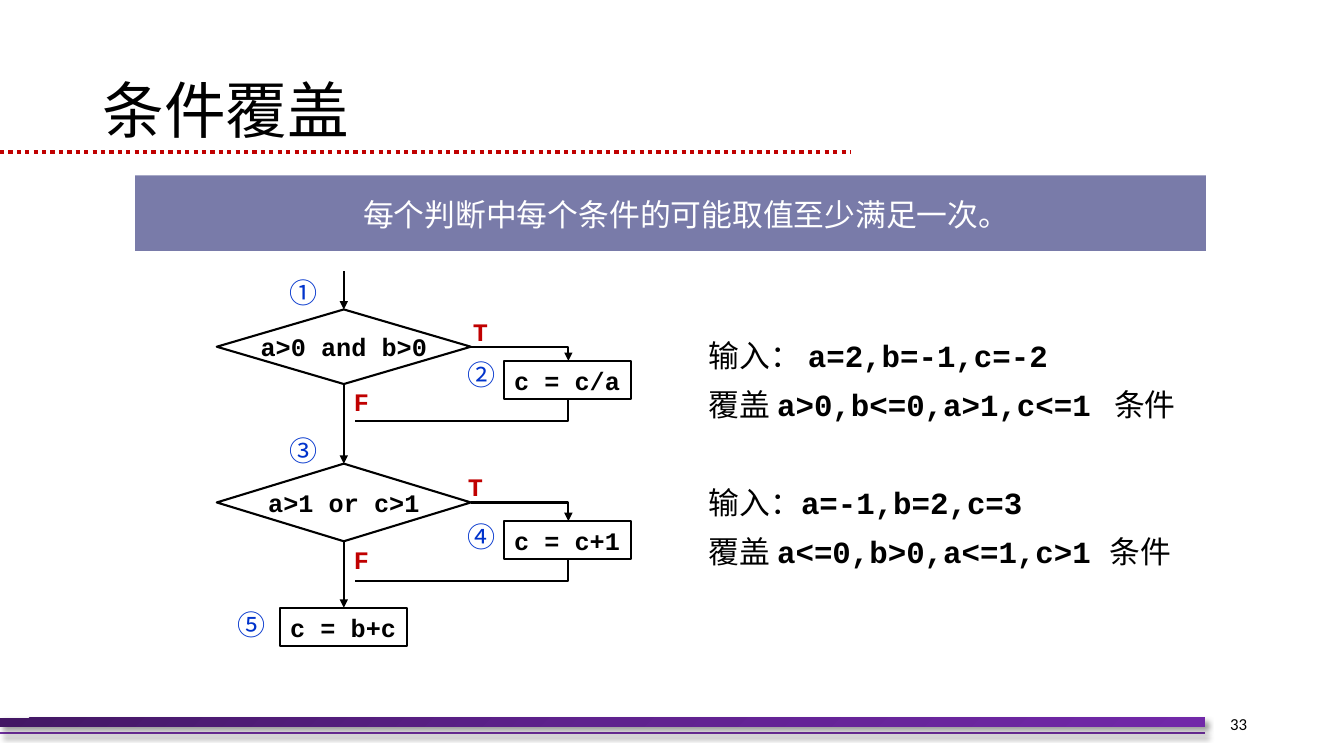
from copy import deepcopy

from lxml.etree import SubElement
from pptx import Presentation
from pptx.dml.color import RGBColor as RGB
from pptx.enum.dml import MSO_LINE as DASH
from pptx.enum.shapes import MSO_CONNECTOR as CONN, MSO_SHAPE as SHAPE
from pptx.enum.text import MSO_ANCHOR as ANCHOR, PP_ALIGN as ALIGN
from pptx.oxml.ns import qn
from pptx.util import Inches, Pt

C = {"black": "000000", "white": "FFFFFF", "red": "C00000", "blue": "0033CC",
     "banner": "797BA9", "purple": "7030A0"}
BAR_STOPS = [(0, "431764"), (0.5, "5F218E"), (1, "7128A8")]
CJK, MONO, SANS = "Noto Sans CJK SC", "Courier New", "Calibri"

prs = Presentation()
prs.slide_width, prs.slide_height = Inches(13.33), Inches(7.5)
s = prs.slides.add_slide(prs.slide_layouts[6])
U = prs.slide_height / 90


def box(x, y, w, h, paras, size, color="black", kind=None, left=0, top=0,
        align=ALIGN.LEFT, anchor=ANCHOR.TOP):
    at = [round(v * U) for v in (x, y, w, h)]
    if kind is None:
        sp = s.shapes.add_textbox(*at)
    else:
        sp = s.shapes.add_shape(kind, *at)
        sp.shadow.inherit = False
        sp.fill.background()
        sp.line.color.rgb = RGB.from_string(C["black"])
        sp.line.width = Pt(1.5)
    tf = sp.text_frame
    tf.word_wrap = kind != SHAPE.DIAMOND
    tf.vertical_anchor = anchor
    tf.margin_left, tf.margin_top = round(left * U), round(top * U)
    tf.margin_right = tf.margin_bottom = 0
    for i, runs in enumerate(paras):
        p = tf.add_paragraph() if i else tf.paragraphs[0]
        p.alignment = align
        if i:
            p.space_before = Pt(8.6)
        for text, font in runs:
            r = p.add_run()
            r.text = text
            r.font.size, r.font.name, r.font.bold = Pt(size), font, font == MONO
            r.font.color.rgb = RGB.from_string(C[color])
            SubElement(r.font._element, qn("a:ea")).set("typeface", font)
    return sp


def line(points, color="black", width=1.5, arrow=False):
    pts = [(round(x * U), round(y * U)) for x, y in points]
    if len(pts) == 2:
        sp = s.shapes.add_connector(CONN.STRAIGHT, *pts[0], *pts[1])
    else:
        path = s.shapes.build_freeform(*pts[0], scale=1.0)
        path.add_line_segments(pts[1:], close=False)
        sp = path.convert_to_shape()
        sp.fill.background()
    sp.line.color.rgb = RGB.from_string(C[color])
    sp.line.width = Pt(width)
    if arrow:
        SubElement(sp.line._get_or_add_ln(), qn("a:tailEnd")).set("type", "triangle")
    SubElement(sp._element.spPr, qn("a:effectLst"))
    return sp


FOOT_W = 143.4
rule = line([(0, 87.24), (FOOT_W, 87.24)], "purple")
bar = box(0, 85.44, FOOT_W, 1.08, [], 12, kind=SHAPE.RECTANGLE)
bar.line.fill.background()
bar.fill.gradient()
bar.fill.gradient_angle = 315
stops = bar._element.spPr.find(".//" + qn("a:gsLst"))
stops.append(deepcopy(stops[-1]))
for stop, (pos, color) in zip(bar.fill.gradient_stops, BAR_STOPS):
    stop.position = pos
    stop.color.rgb = RGB.from_string(color)
for sp in (rule, bar):
    effects = sp._element.spPr.find(qn("a:effectLst"))
    shadow = SubElement(effects, qn("a:outerShdw"), blurRad=str(Pt(4)),
                        dist=str(Pt(3)), dir="2700000", rotWithShape="0")
    tint = SubElement(shadow, qn("a:srgbClr"), val=C["black"])
    SubElement(tint, qn("a:alpha"), val="40000")

line([(0, 18.12), (101.28, 18.12)], "red", 3).line.dash_style = DASH.ROUND_DOT

title = box(11.04, 4.8, 138, 17.4, [[("条件覆盖", CJK)]], 44,
            left=1.2, anchor=ANCHOR.MIDDLE)
title.text_frame.paragraphs[0].line_spacing = 0.9
box(136.56, 83.76, 11.88, 4.8, [[("33", SANS)]], 12,
    align=ALIGN.RIGHT, anchor=ANCHOR.MIDDLE)

banner = box(16.08, 20.88, 127.44, 9, [[("每个判断中每个条件的可能取值至少满足一次。", CJK)]],
             22, "white", SHAPE.RECTANGLE, left=3.72, top=2.4, align=ALIGN.CENTER)
banner.fill.solid()
banner.fill.fore_color.rgb = RGB.from_string(C["banner"])
banner.line.fill.background()

cases = [
    (38.52, [[("输入： ", CJK), ("a=2,b=-1,c=-2", MONO)],
             [("覆盖 ", CJK), ("a>0,b<=0,a>1,c<=1\t", MONO), ("条件", CJK)]]),
    (56.04, [[("输入：", CJK), ("a=-1,b=2,c=3", MONO)],
             [("覆盖 ", CJK), ("a<=0,b>0,a<=1,c>1 ", MONO), ("条件", CJK)]]),
]
for y, paras in cases:
    sp = box(84.36, y, 55.68, 12, paras, 22, top=1.56)
    for p in sp.text_frame.paragraphs[1:]:
        tabs = SubElement(p._p.get_or_add_pPr(), qn("a:tabLst"))
        SubElement(tabs, qn("a:tab"), pos=str(round(48.24 * U)), algn="l")

TRUNK, BRANCH, HALF = 40.92, 67.65, 15.12
BOX_W, BOX_H = 15.12, 4.56

decisions = [
    ("a>0 and b>0", 36.84, 8.88, 42.96, "c = c/a"),
    ("a>1 or c>1", 55.2, 9.24, 62.04, "c = c+1"),
]
steps = [(60, top, text) for *_, top, text in decisions] + [(33.36, 72.36, "c = b+c")]
for x, y, text in steps:
    box(x, y, BOX_W, BOX_H, [[(text, MONO)]], 18, kind=SHAPE.RECTANGLE,
        left=1.2, anchor=ANCHOR.MIDDLE)

for text, y, h, step, _ in decisions:
    box(TRUNK - HALF, y, 2 * HALF, h, [[(text, MONO)]], 18, kind=SHAPE.DIAMOND,
        align=ALIGN.CENTER, anchor=ANCHOR.MIDDLE)
    mid, low = y + h / 2, step + BOX_H
    line([(TRUNK + HALF, mid), (BRANCH, mid), (BRANCH, step)], arrow=True)
    line([(BRANCH, low), (BRANCH, low + 2.6), (42.24, low + 2.6)])

for start, end in [(32.28, 36.84), (45.72, 55.2), (64.44, 72.36)]:
    line([(TRUNK, start), (TRUNK, end)], arrow=True)

for x, y, text in [(56.28, 37.56, "T"), (42.12, 45.84, "F"),
                   (55.68, 56.04, "T"), (42.12, 64.68, "F")]:
    box(x, y, 2.16, 3.96, [[(text, MONO)]], 18, "red", top=0.12)

for x, y, text in [(34.44, 32.64, "①"), (55.68, 42.48, "②"), (34.44, 51.48, "③"),
                   (55.68, 61.68, "④"), (28.32, 72.24, "⑤")]:
    box(x, y, 3.72, 4.32, [[(text, CJK)]], 20, "blue", top=0.12)

prs.save("out.pptx")
